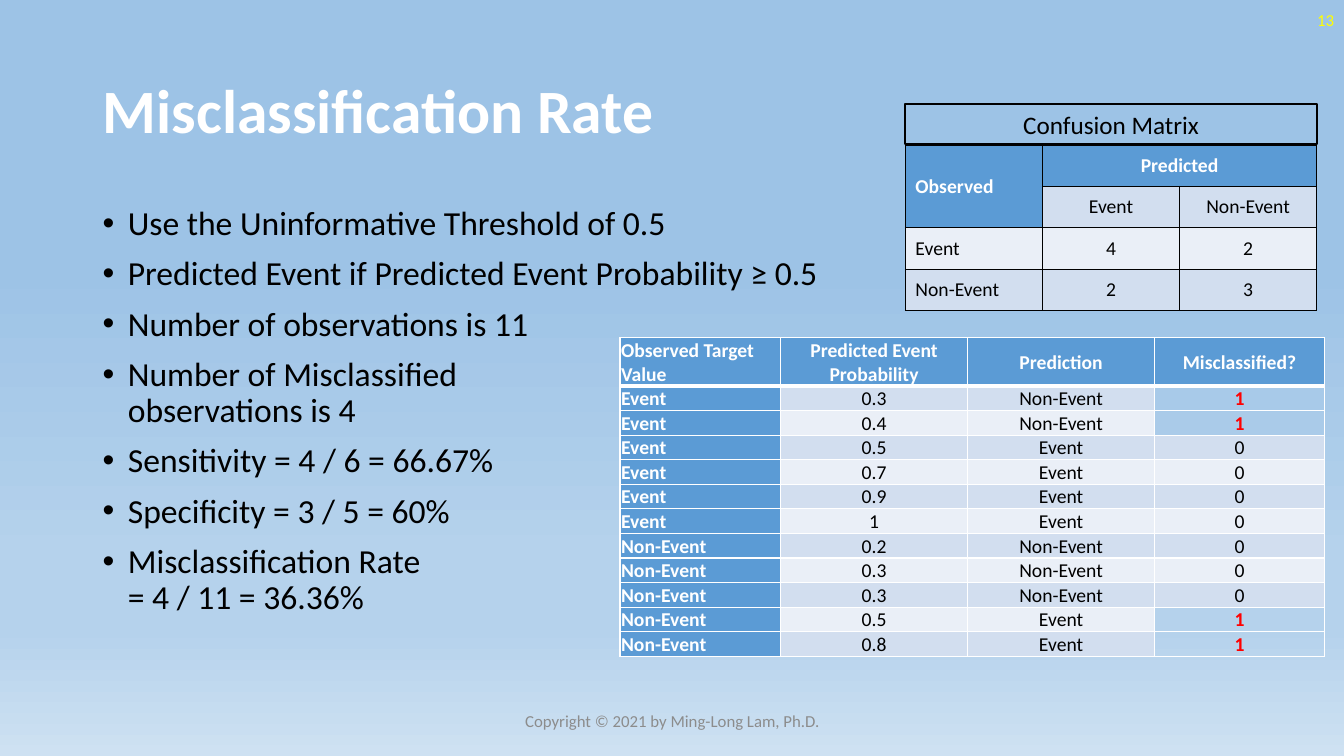
"""Build the slide on the misclassification rate."""
from lxml import etree
from pptx import Presentation
from pptx.dml.color import RGBColor
from pptx.enum.shapes import MSO_SHAPE
from pptx.enum.text import MSO_ANCHOR, PP_ALIGN
from pptx.oxml.ns import qn
from pptx.util import Inches, Pt

TITLE = "Misclassification Rate"
BULLETS = [
    "Use the Uninformative Threshold of 0.5",
    "Predicted Event if Predicted Event Probability ≥ 0.5",
    "Number of observations is 11",
    "Number of Misclassified\vobservations is 4",
    "Sensitivity = 4 / 6 = 66.67%",
    "Specificity = 3 / 5 = 60%",
    "Misclassification Rate\v= 4 / 11 = 36.36%",
]
PAGE_NUMBER = "13"
COPYRIGHT = "Copyright © 2021 by Ming-Long Lam, Ph.D."
MATRIX_TITLE = "Confusion Matrix"
MATRIX = [
    ["Observed", "Predicted", ""],
    ["", "Event", "Non-Event"],
    ["Event", "4", "2"],
    ["Non-Event", "2", "3"],
]
PREDICTION_HEADER = ["Observed Target Value", "Predicted Event Probability",
                     "Prediction", "Misclassified?"]
PROBABILITIES = {
    "Event": ["0.3", "0.4", "0.5", "0.7", "0.9", "1"],
    "Non-Event": ["0.2", "0.3", "0.3", "0.5", "0.8"],
}
THRESHOLD = 0.5

FONT = "Calibri"
WHITE = RGBColor(0xFF, 0xFF, 0xFF)
BLACK = RGBColor(0, 0, 0)
RED = RGBColor(0xFF, 0, 0)
YELLOW = RGBColor(0xFF, 0xFF, 0)
GRAY = RGBColor(0x8C, 0x8C, 0x8C)
BLUE = RGBColor(0x5B, 0x9B, 0xD5)
BAND_DARK = RGBColor(0xD2, 0xDE, 0xEF)
BAND_LIGHT = RGBColor(0xEA, 0xEF, 0xF7)
SKY = RGBColor(0x9D, 0xC3, 0xE6)
SKY_MIDDLE = RGBColor(0xB5, 0xD2, 0xEC)
SKY_PALE = RGBColor(0xCE, 0xE1, 0xF2)
GRADIENT = [(35, SKY), (74, SKY_MIDDLE), (83, SKY_MIDDLE), (100, SKY_PALE)]

LEFT, CENTER, RIGHT = PP_ALIGN.LEFT, PP_ALIGN.CENTER, PP_ALIGN.RIGHT
TOP, MIDDLE = MSO_ANCHOR.TOP, MSO_ANCHOR.MIDDLE
RECTANGLE = MSO_SHAPE.RECTANGLE


def write_text(frame, *lines, size, color=BLACK, bold=False, align=LEFT,
               anchor=MIDDLE, line_spacing=1.0, space_before=0, bullet=None):
    """Fill a text frame with one formatted paragraph for each line."""
    frame.word_wrap = True
    frame.vertical_anchor = anchor
    for index, line in enumerate(lines):
        paragraph = frame.paragraphs[0] if index == 0 else frame.add_paragraph()
        paragraph.text = line
        paragraph.alignment = align
        paragraph.line_spacing = line_spacing
        paragraph.space_before = Pt(space_before if index else 0)
        if bullet:
            properties = paragraph._p.get_or_add_pPr()
            properties.set("marL", str(Inches(0.25)))
            properties.set("indent", str(Inches(-0.25)))
            etree.SubElement(properties, qn("a:buFont"), typeface="Arial")
            etree.SubElement(properties, qn("a:buChar"), char=bullet)
        for run in paragraph.runs:
            run.font.name = FONT
            run.font.size = Pt(size)
            run.font.bold = bold
            run.font.color.rgb = color


def add_text(slide, box, *lines, **text_format):
    """Add a text box with the given left, top, width and height."""
    shape = slide.shapes.add_textbox(*map(Inches, box))
    write_text(shape.text_frame, *lines, **text_format)


def set_borders(cell, color, widths):
    """Draw the left, right, top and bottom borders of a cell."""
    properties = cell._tc.get_or_add_tcPr()
    for index, (side, width) in enumerate(zip("LRTB", widths)):
        line = etree.Element(qn(f"a:ln{side}"), w=str(Pt(width)))
        fill = etree.SubElement(line, qn("a:solidFill"))
        etree.SubElement(fill, qn("a:srgbClr"), val=str(color))
        properties.insert(index, line)


def add_grid(slide, position, column_widths, row_heights, rows, border,
             header_rule=1, blue_column=False, margins=None):
    """Add a banded table with a blue header row."""
    table = slide.shapes.add_table(
        len(rows), len(column_widths), *map(Inches, position),
        Inches(sum(column_widths)), Inches(sum(row_heights))).table
    for column, width in zip(table.columns, column_widths):
        column.width = Inches(width)
    for row, height in zip(table.rows, row_heights):
        row.height = Inches(height)
    for row, values in enumerate(rows):
        for column, value in enumerate(values):
            cell = table.cell(row, column)
            blue = row == 0 or (blue_column and column == 0)
            flagged = blue_column and row and column == 3 and value == "1"
            if flagged:
                cell.fill.background()
            else:
                cell.fill.solid()
                band = BAND_DARK if row % 2 else BAND_LIGHT
                cell.fill.fore_color.rgb = BLUE if blue else band
            if margins:
                (cell.margin_left, cell.margin_top,
                 cell.margin_right, cell.margin_bottom) = map(Inches, margins)
            set_borders(cell, border, (1, 1, header_rule if row == 1 else 1,
                                       header_rule if row == 0 else 1))
            write_text(cell.text_frame, value, size=14,
                       color=RED if flagged else WHITE if blue else BLACK,
                       bold=bool(blue or flagged),
                       align=CENTER if column else LEFT)
            cell.vertical_anchor = MIDDLE
    return table


def set_background(slide):
    """Apply the vertical sky gradient."""
    fill = slide.background.fill
    fill.gradient()
    fill.gradient_angle = 270
    stops = slide.element.find(".//" + qn("a:gsLst"))
    for stop in list(stops):
        stops.remove(stop)
    for percent, color in GRADIENT:
        stop = etree.SubElement(stops, qn("a:gs"), pos=str(percent * 1000))
        etree.SubElement(stop, qn("a:srgbClr"), val=str(color))


def prediction_rows():
    """Classify each observation by the threshold."""
    rows = [PREDICTION_HEADER]
    for observed, probabilities in PROBABILITIES.items():
        for probability in probabilities:
            predicted = "Event" if float(probability) >= THRESHOLD else "Non-Event"
            rows.append([observed, probability, predicted,
                         str(int(observed != predicted))])
    return rows


def main():
    """Assemble and save the slide."""
    presentation = Presentation()
    presentation.slide_width = Inches(13.33)
    presentation.slide_height = Inches(7.5)
    slide = presentation.slides.add_slide(presentation.slide_layouts[5])
    set_background(slide)

    title = slide.shapes.title
    title.left, title.top = Inches(0.92), Inches(0.4)
    title.width, title.height = Inches(11.5), Inches(1.45)
    write_text(title.text_frame, TITLE, size=44, color=WHITE, bold=True,
               line_spacing=0.9)
    add_text(slide, (0.92, 2, 11.5, 4.76), *BULLETS, size=24, anchor=TOP,
             line_spacing=0.9, space_before=10, bullet="•")
    add_text(slide, (10.33, 0, 3, 0.4), PAGE_NUMBER, size=12, color=YELLOW,
             align=RIGHT)

    rows = prediction_rows()
    add_grid(slide, (6.15, 3.35), [1.59, 1.86, 1.85, 1.69],
             [0.48] + [0.24] * (len(rows) - 1), rows, WHITE, header_rule=3,
             blue_column=True, margins=(0.01, 0.01, 0.01, 0))
    matrix = add_grid(slide, (8.98, 1.44), [1.36] * 3, [0.41] * 4, MATRIX, BLACK)
    matrix.cell(0, 0).merge(matrix.cell(1, 0))
    matrix.cell(0, 1).merge(matrix.cell(0, 2))

    add_text(slide, (4.42, 6.95, 4.5, 0.4), COPYRIGHT, size=12, color=GRAY,
             align=CENTER)
    caption = slide.shapes.add_shape(
        RECTANGLE, *map(Inches, (8.98, 1.03, 4.08, 0.4)))
    caption.shadow.inherit = False
    caption.fill.background()
    caption.line.color.rgb = BLACK
    caption.line.width = Pt(1.5)
    write_text(caption.text_frame, MATRIX_TITLE, size=18, align=CENTER)
    presentation.save("out.pptx")


if __name__ == "__main__":
    main()
